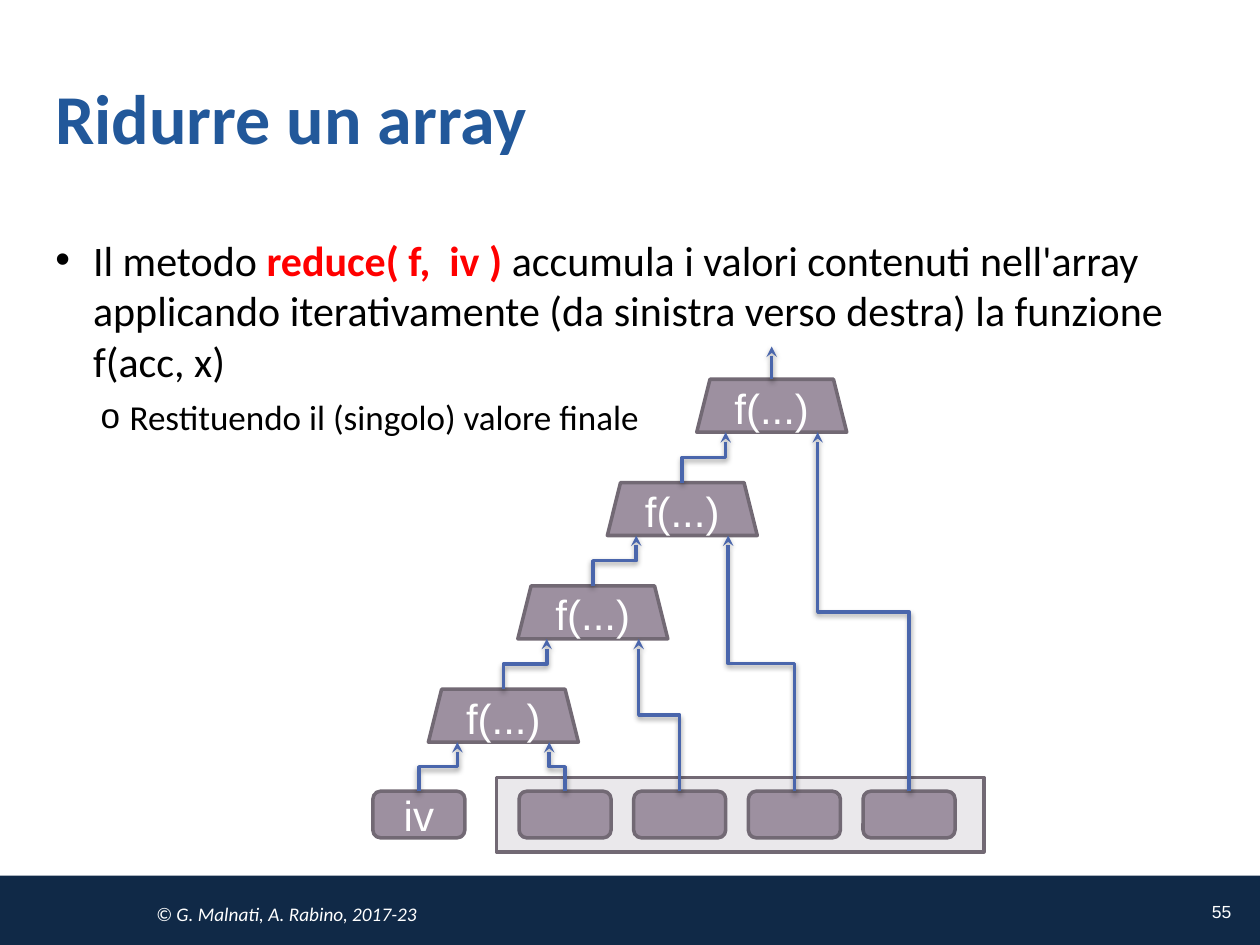
from dataclasses import dataclass
from typing import NamedTuple

from lxml.etree import SubElement
from pptx import Presentation
from pptx.dml.color import RGBColor
from pptx.enum.shapes import MSO_CONNECTOR as Connector, MSO_SHAPE as Shape
from pptx.enum.text import MSO_ANCHOR as Anchor, PP_ALIGN as Align
from pptx.oxml.ns import qn
from pptx.util import Inches, Pt


@dataclass(frozen=True)
class Theme:
    """Colours, fonts and sizes of the deck."""
    title: str = "22589A"
    ink: str = "000000"
    accent: str = "FF0000"
    light: str = "FFFFFF"
    band: str = "102947"
    node: str = "9D90A0"
    array: str = "EAE8EB"
    outline: str = "726974"
    arrow: str = "4A66AC"
    text_font: str = "Calibri"
    node_font: str = "Arial"
    title_size: int = 40
    body_size: int = 24
    detail_size: int = 20
    footer_size: int = 11
    number_size: int = 10
    line_width: int = 2


class Box(NamedTuple):
    """A rectangle in inches."""
    left: float
    top: float
    width: float
    height: float

    @property
    def center(self):
        """Give the horizontal middle."""
        return self.left + self.width / 2

    def lengths(self):
        """Give the four sides as slide lengths."""
        return [Inches(side) for side in self]


THEME = Theme()


def write(paragraph, text, *, size, color, font=THEME.text_font, bold=False,
          italic=False, align=None):
    """Append a formatted run to a paragraph."""
    run = paragraph.add_run()
    run.text = text
    run.font.size = Pt(size)
    run.font.name = font
    run.font.bold = bold
    run.font.italic = italic
    run.font.color.rgb = RGBColor.from_string(color)
    if align is not None:
        paragraph.alignment = align


def add_frame(slide, box, anchor=Anchor.TOP):
    """Add a wrapping text box and return its frame."""
    frame = slide.shapes.add_textbox(*box.lengths()).text_frame
    frame.word_wrap = True
    frame.vertical_anchor = anchor
    return frame


def add_block(slide, kind, box, fill, outline=None, label=None):
    """Add a flat shape with an optional outline and label."""
    block = slide.shapes.add_shape(kind, *box.lengths())
    block.shadow.inherit = False
    block.fill.solid()
    block.fill.fore_color.rgb = RGBColor.from_string(fill)
    if outline:
        block.line.color.rgb = RGBColor.from_string(outline)
        block.line.width = Pt(THEME.line_width)
    else:
        block.line.fill.background()
    if label:
        block.text_frame.vertical_anchor = Anchor.MIDDLE
        write(block.text_frame.paragraphs[0], label, size=THEME.body_size,
              color=THEME.light, font=THEME.node_font, align=Align.CENTER)


def add_arrow(slide, start, end):
    """Draw an upward arrow, bent halfway when its ends are not aligned."""
    (x1, y1), (x2, y2) = start, end
    bent = x1 != x2
    kind = Connector.STRAIGHT
    if bent:
        kind = Connector.ELBOW
        middle_x, middle_y = (x1 + x2) / 2, (y1 + y2) / 2
        half_run = (y1 - y2) / 2 * (1 if x2 > x1 else -1)
        half_rise = abs(x2 - x1) / 2
        x1, x2 = middle_x - half_run, middle_x + half_run
        y1, y2 = middle_y - half_rise, middle_y + half_rise
    arrow = slide.shapes.add_connector(
        kind, Inches(x1), Inches(y1), Inches(x2), Inches(y2))
    properties = arrow._element.spPr
    if bent:
        properties.xfrm.set("rot", "16200000" if x2 > x1 else "5400000")
    arrow.line.color.rgb = RGBColor.from_string(THEME.arrow)
    arrow.line.width = Pt(THEME.line_width)
    SubElement(properties.find(qn("a:ln")), qn("a:tailEnd"), type="stealth")
    effects = SubElement(properties, qn("a:effectLst"))
    shadow = SubElement(effects, qn("a:outerShdw"), blurRad=str(Pt(3.1)),
                        dist=str(Pt(1.6)), dir="5400000", rotWithShape="0")
    color = SubElement(shadow, qn("a:srgbClr"), val=THEME.ink)
    SubElement(color, qn("a:alpha"), val="37000")


def add_bullet(paragraph, mark, indent, hanging):
    """Give a paragraph a bullet and a hanging indent."""
    properties = paragraph._p.get_or_add_pPr()
    properties.set("marL", str(Inches(indent)))
    properties.set("indent", str(-Inches(hanging)))
    color = SubElement(properties, qn("a:buClr"))
    SubElement(color, qn("a:srgbClr"), val=THEME.ink)
    SubElement(properties, qn("a:buFont"), typeface=THEME.node_font)
    SubElement(properties, qn("a:buChar"), char=mark)


def place_footer(slide, box):
    """Draw the bottom band with the copyright and page number."""
    add_block(slide, Shape.RECTANGLE, box, THEME.band)
    credit = add_frame(slide, Box(box.left + 1.14, box.top + 0.05, 7.3, 0.51),
                       Anchor.MIDDLE)
    write(credit.paragraphs[0], "© G. Malnati, A. Rabino, 2017-23",
          size=THEME.footer_size, color=THEME.light, italic=True)
    number = add_frame(slide, Box(box.left + 9.27, box.top, 0.6, 0.57),
                       Anchor.MIDDLE)
    write(number.paragraphs[0], "55", size=THEME.number_size,
          color=THEME.light, font=THEME.node_font, align=Align.RIGHT)


def place_title(slide, box):
    """Move and fill the title placeholder."""
    title = slide.shapes.title
    title.left, title.top, title.width, title.height = box.lengths()
    title.text_frame.vertical_anchor = Anchor.MIDDLE
    write(title.text_frame.paragraphs[0], "Ridurre un array", bold=True,
          size=THEME.title_size, color=THEME.title, align=Align.LEFT)


def place_body(slide, box):
    """Write the explanation of the method."""
    frame = add_frame(slide, box)
    method = frame.paragraphs[0]
    add_bullet(method, "•", 0.3, 0.3)
    write(method, "Il metodo ", size=THEME.body_size, color=THEME.ink)
    write(method, "reduce( f,  iv ) ", size=THEME.body_size,
          color=THEME.accent, bold=True)
    write(method, "accumula i valori contenuti nell'array applicando "
          "iterativamente (da sinistra verso destra) la funzione f(acc, x)",
          size=THEME.body_size, color=THEME.ink)
    result = frame.add_paragraph()
    result.level = 1
    result.space_before = Pt(6)
    add_bullet(result, "o", 0.59, 0.23)
    write(result, "Restituendo il (singolo) valore finale",
          size=THEME.detail_size, color=THEME.ink)


def place_reduction(slide, box):
    """Draw the array and the staircase of calls that folds it."""
    bottom = box.top + box.height
    add_block(slide, Shape.RECTANGLE,
              Box(box.left + 0.98, bottom - 0.59, 3.87, 0.59),
              THEME.array, THEME.outline)
    initial = Box(box.left, bottom - 0.48, 0.73, 0.37)
    add_block(slide, Shape.ROUNDED_RECTANGLE, initial, THEME.node,
              THEME.outline, "iv")
    accumulator = (initial.center, initial.top)
    for step in range(4):
        item = initial._replace(left=box.left + 1.16 + 0.91 * step)
        call = Box(box.left + 0.44 + 0.71 * step, bottom - 1.29 - 0.82 * step,
                   1.19, 0.42)
        call_bottom = call.top + call.height
        add_block(slide, Shape.ROUNDED_RECTANGLE, item, THEME.node,
                  THEME.outline)
        add_block(slide, Shape.TRAPEZOID, call, THEME.node, THEME.outline,
                  "f(...)")
        add_arrow(slide, accumulator, (call.left + 0.23, call_bottom))
        add_arrow(slide, (item.center, item.top),
                  (call.left + 0.96, call_bottom))
        accumulator = (call.center, call.top)
    add_arrow(slide, accumulator, (call.center, box.top))


def main():
    """Build and save the slide."""
    deck = Presentation()
    deck.slide_width, deck.slide_height = Inches(10), Inches(7.5)
    slide = deck.slides.add_slide(deck.slide_layouts[5])
    place_footer(slide, Box(0, 6.95, 10, 0.55))
    place_title(slide, Box(0.34, 0.2, 9.32, 1.45))
    place_body(slide, Box(0.34, 1.81, 9.32, 4.95))
    place_reduction(slide, Box(2.96, 2.75, 4.85, 4.01))
    deck.save("out.pptx")


if __name__ == "__main__":
    main()
